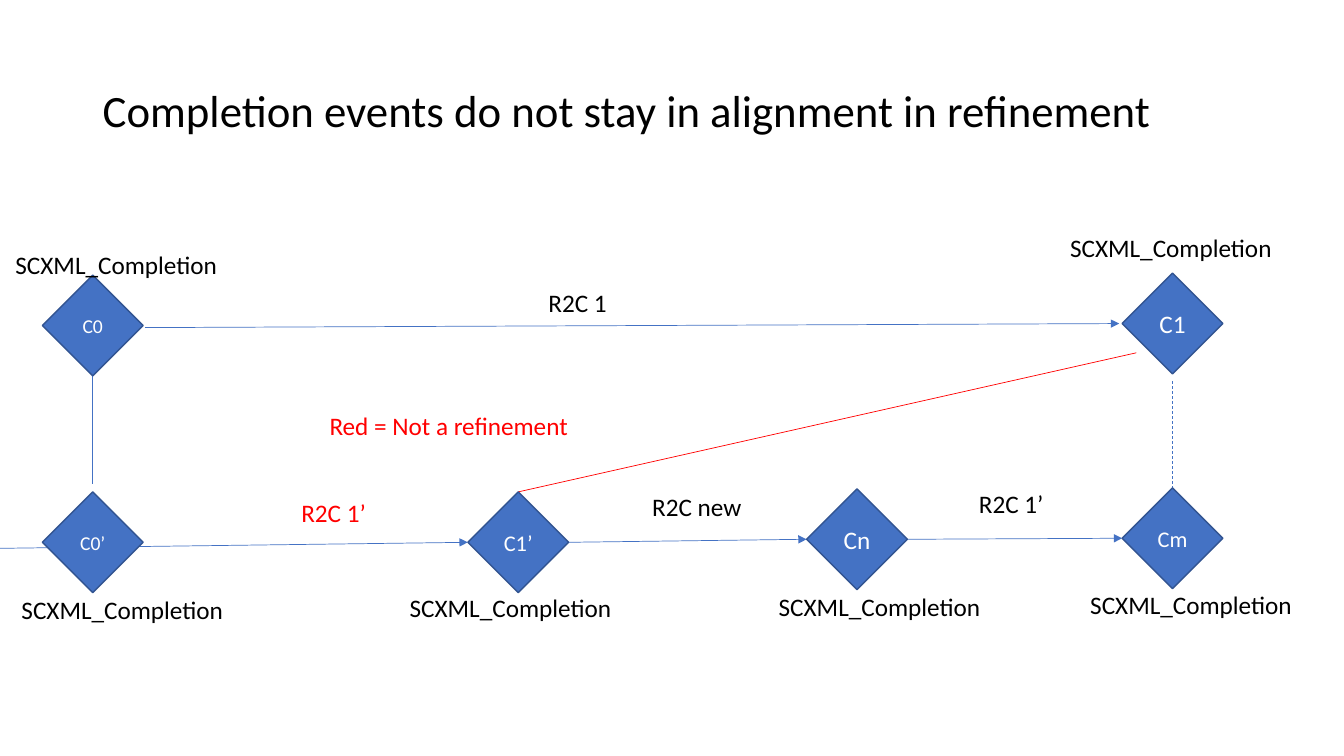
from lxml.etree import SubElement
from pptx import Presentation
from pptx.dml.color import RGBColor
from pptx.enum.dml import MSO_LINE
from pptx.enum.shapes import MSO_CONNECTOR, MSO_SHAPE
from pptx.enum.text import MSO_ANCHOR, MSO_AUTO_SIZE, PP_ALIGN
from pptx.oxml.ns import qn
from pptx.util import Inches, Pt

COLUMNS, ROWS = 13.33, 7.5
CELL = Inches(1)
BLUE, NAVY, RED, BLACK, WHITE = "4472C4", "325491", "FF0000", "000000", "FFFFFF"
LABEL_HEIGHT = 0.4
COMPLETION_WIDTH = 2.23

# state: (centre column, centre row, text size, offset of its completion label)
STATES = {
    "C0": (0.92, 3.23, 14, (0.25, -0.61)),
    "C1": (11.63, 3.21, 18, (0, -0.75)),
    "C0’": (0.92, 5.38, 14, (0.31, 0.67)),
    "C1’": (5.14, 5.38, 16, (-0.06, 0.65)),
    "Cn": (8.5, 5.35, 18, (0.24, 0.67)),
    "Cm": (11.63, 5.34, 16, (0.2, 0.66)),
}
# state and offset from its centre, at both ends
TRANSITIONS = [
    ("C0", (0.52, 0.02), "C1", (-0.53, 0)),
    ("C0’", (-0.92, 0.06), "C1’", (-0.5, 0)),
    ("C1’", (0.5, 0), "Cn", (-0.5, 0)),
    ("Cn", (0.5, 0), "Cm", (-0.5, 0)),
]
REFINEMENTS = [
    ("C0", (0, 0.5), "C0’", (0, -0.58), BLUE, None),
    ("C1", (-0.36, 0.29), "C1’", (0, -0.5), RED, None),
    ("C1", (0, 0.57), "Cm", (0, -0.5), BLUE, MSO_LINE.DASH),
]
# text, left column, top row, width in columns, colour
CAPTIONS = [
    ("R2C 1", 5.34, 2.8, 0.79, BLACK),
    ("R2C 1’", 2.89, 4.88, 0.85, RED),
    ("R2C new", 6.37, 4.83, 1.1, BLACK),
    ("R2C 1’", 9.61, 4.8, 0.85, BLACK),
    ("Red = Not a refinement", 3.17, 4.02, 2.6, RED),
]


def cells(*counts):
    """Turn counts of columns or rows into slide lengths."""
    return [round(count * CELL) for count in counts]


def color(hex_value):
    """Return the colour for a hex string."""
    return RGBColor.from_string(hex_value)


def apply_format(target, values):
    """Set each attribute named in values on target."""
    for attribute, value in values.items():
        setattr(target, attribute, value)


def write(frame, text, size, hex_value, paragraph_format=None, **frame_format):
    """Write one formatted paragraph into a text frame."""
    apply_format(frame, frame_format)
    paragraph = frame.paragraphs[0]
    apply_format(paragraph, paragraph_format or {})
    run = paragraph.add_run()
    run.text = text
    apply_format(run.font, {"size": Pt(size), "name": "Calibri"})
    run.font.color.rgb = color(hex_value)


def add_title(slide, text):
    """Add the slide title."""
    title = slide.shapes.add_textbox(*cells(0.92, 0.4, 11.5, 1.45))
    write(title.text_frame, text, 32, BLACK, {"line_spacing": 0.9},
          word_wrap=True, vertical_anchor=MSO_ANCHOR.MIDDLE)


def add_label(slide, text, left, top, width, hex_value=BLACK):
    """Add a one-line label that fits its text."""
    label = slide.shapes.add_textbox(*cells(left, top, width, LABEL_HEIGHT))
    write(label.text_frame, text, 18, hex_value,
          word_wrap=False, auto_size=MSO_AUTO_SIZE.SHAPE_TO_FIT_TEXT)


def add_state(slide, name, column, row, size):
    """Add a one-cell diamond centred on a grid point."""
    state = slide.shapes.add_shape(
        MSO_SHAPE.DIAMOND, *cells(column - 0.5, row - 0.5, 1, 1))
    state.shadow.inherit = False
    state.fill.solid()
    state.fill.fore_color.rgb = color(BLUE)
    state.line.color.rgb = color(NAVY)
    state.line.width = Pt(1)
    write(state.text_frame, name, size, WHITE, {"alignment": PP_ALIGN.CENTER},
          word_wrap=True, vertical_anchor=MSO_ANCHOR.MIDDLE)


def near(state, offset):
    """Return the grid point at an offset from a state's centre."""
    column, row = STATES[state][:2]
    return column + offset[0], row + offset[1]


def add_link(slide, source, source_offset, target, target_offset,
             hex_value=BLUE, dash=None, arrow=False):
    """Join two states by a thin line, with an arrowhead if asked."""
    link = slide.shapes.add_connector(
        MSO_CONNECTOR.STRAIGHT,
        *cells(*near(source, source_offset), *near(target, target_offset)))
    link.line.color.rgb = color(hex_value)
    apply_format(link.line, {"width": Pt(0.5), "dash_style": dash})
    if arrow:
        SubElement(link.line._get_or_add_ln(), qn("a:tailEnd"), type="triangle")
    SubElement(link._element.spPr, qn("a:effectLst"))


def add_completion(slide, state, offset):
    """Label a state's completion event."""
    column, row = near(state, offset)
    add_label(slide, "SCXML_Completion", column - COMPLETION_WIDTH / 2,
              row - LABEL_HEIGHT / 2, COMPLETION_WIDTH)


def main():
    """Build and save the slide."""
    deck = Presentation()
    width, height = cells(COLUMNS, ROWS)
    apply_format(deck, {"slide_width": width, "slide_height": height})
    slide = deck.slides.add_slide(deck.slide_layouts[6])
    add_title(slide, "Completion events do not stay in alignment in refinement")
    for transition in TRANSITIONS:
        add_link(slide, *transition, arrow=True)
    for refinement in REFINEMENTS:
        add_link(slide, *refinement)
    for name, (column, row, size, _) in STATES.items():
        add_state(slide, name, column, row, size)
    for name, (*_, label_offset) in STATES.items():
        add_completion(slide, name, label_offset)
    for caption in CAPTIONS:
        add_label(slide, *caption)
    deck.save("out.pptx")


main()
